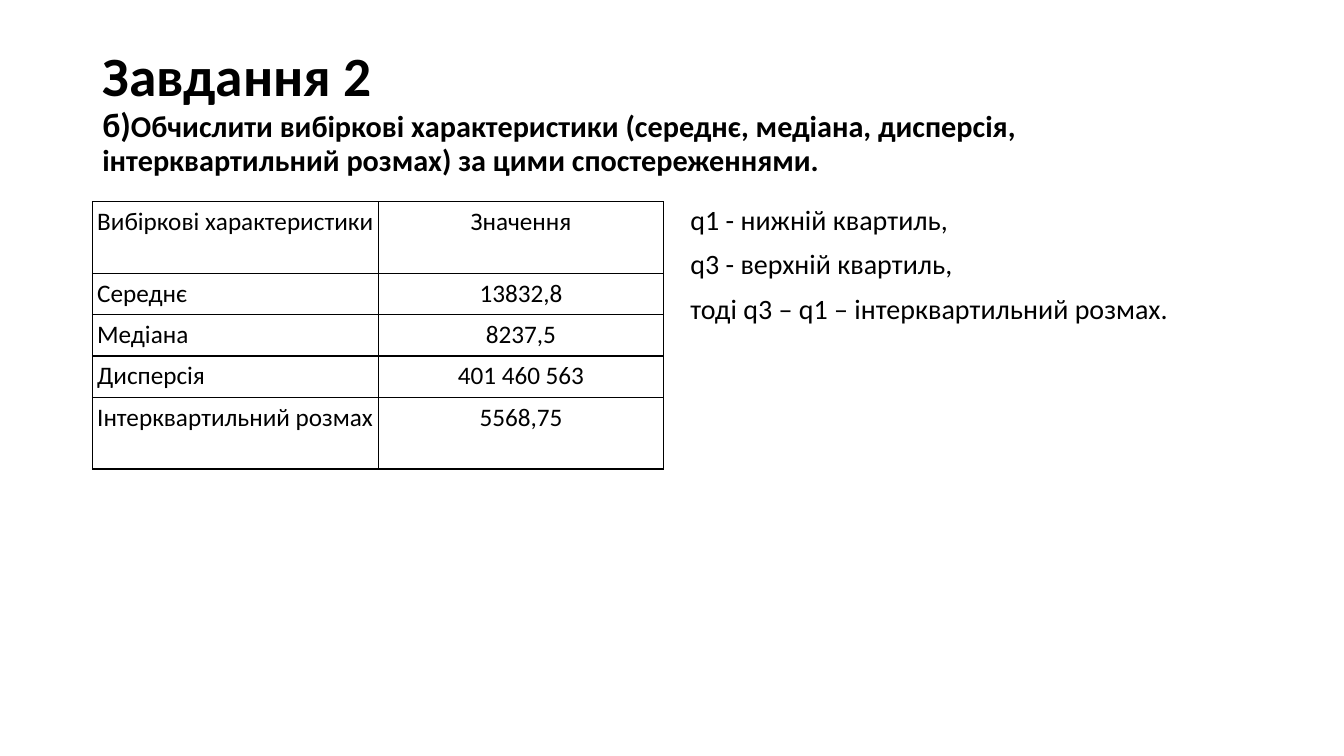
from lxml.etree import SubElement
from pptx import Presentation
from pptx.dml.color import RGBColor
from pptx.enum.text import MSO_ANCHOR, PP_ALIGN
from pptx.oxml.ns import qn
from pptx.util import Cm, Pt

FONT = "Calibri"
BLACK = "000000"
ROWS = [
    ("Вибіркові характеристики", "Значення", 1.81),
    ("Середнє", "13832,8", 1.04),
    ("Медіана", "8237,5", 1.04),
    ("Дисперсія", "401 460 563", 1.04),
    ("Інтерквартильний розмах", "5568,75", 1.81),
]
NOTES = [
    "q1 - нижній квартиль,",
    "q3 - верхній квартиль,",
    "тоді q3 – q1 – інтерквартильний розмах.",
]


def rgb(color):
    return RGBColor.from_string(color)


def add_text(p, text, size=18, bold=False, color=BLACK, align=PP_ALIGN.LEFT):
    p.alignment = align
    r = p.add_run()
    r.text = text
    r.font.name = FONT
    r.font.size = Pt(size)
    r.font.bold = bold
    r.font.color.rgb = rgb(color)


def add_box(slide, left, top, width, height, anchor=MSO_ANCHOR.TOP):
    tf = slide.shapes.add_textbox(Cm(left), Cm(top), Cm(width), Cm(height)).text_frame
    tf.word_wrap = True
    tf.vertical_anchor = anchor
    return tf


def add_borders(cell, color=BLACK, width=1):
    tc_pr = cell._tc.get_or_add_tcPr()
    for index, side in enumerate(("a:lnL", "a:lnR", "a:lnT", "a:lnB")):
        ln = SubElement(tc_pr, qn(side), w=str(Pt(width)))
        fill = SubElement(ln, qn("a:solidFill"))
        SubElement(fill, qn("a:srgbClr"), val=color)
        tc_pr.remove(ln)
        tc_pr.insert(index, ln)


def add_title(slide, left, top, width, height):
    tf = add_box(slide, left, top, width, height, MSO_ANCHOR.MIDDLE)
    p = tf.paragraphs[0]
    p.line_spacing = 0.9
    add_text(p, "Завдання 2", size=39.6, bold=True)
    p.add_line_break()
    add_text(p, "б)", size=24.3, bold=True)
    add_text(
        p,
        "Обчислити вибіркові характеристики (середнє, медіана, дисперсія, "
        "інтерквартильний розмах) за цими спостереженнями.",
        size=21.6,
        bold=True,
    )


def add_statistics(slide, left, top, width):
    height = sum(row[-1] for row in ROWS)
    table = slide.shapes.add_table(
        len(ROWS), 2, Cm(left), Cm(top), Cm(width), Cm(height)
    ).table
    table.first_row = False
    table.horz_banding = False
    for column in table.columns:
        column.width = Cm(width / 2)
    for i, (name, value, row_height) in enumerate(ROWS):
        table.rows[i].height = Cm(row_height)
        for j, (text, align) in enumerate(
            ((name, PP_ALIGN.LEFT), (value, PP_ALIGN.CENTER))
        ):
            cell = table.cell(i, j)
            cell.fill.background()
            cell.margin_left = cell.margin_right = Cm(0.12)
            cell.margin_top = cell.margin_bottom = Cm(0.12)
            add_text(cell.text_frame.paragraphs[0], text, align=align)
            add_borders(cell)


def add_notes(slide, left, top, width, height):
    tf = add_box(slide, left, top, width, height)
    for i, text in enumerate(NOTES):
        p = tf.add_paragraph() if i else tf.paragraphs[0]
        p.line_spacing = 0.9
        p.space_before = Pt(10)
        add_text(p, text, size=20)


def main():
    prs = Presentation()
    prs.slide_width = Cm(33.87)
    prs.slide_height = Cm(19.05)
    slide = prs.slides.add_slide(prs.slide_layouts[6])
    add_title(slide, 2.33, 1.01, 29.21, 3.68)
    add_statistics(slide, 2.33, 5.08, 14.4)
    add_notes(slide, 17.15, 5.08, 14.4, 12.09)
    prs.save("out.pptx")


if __name__ == "__main__":
    main()
